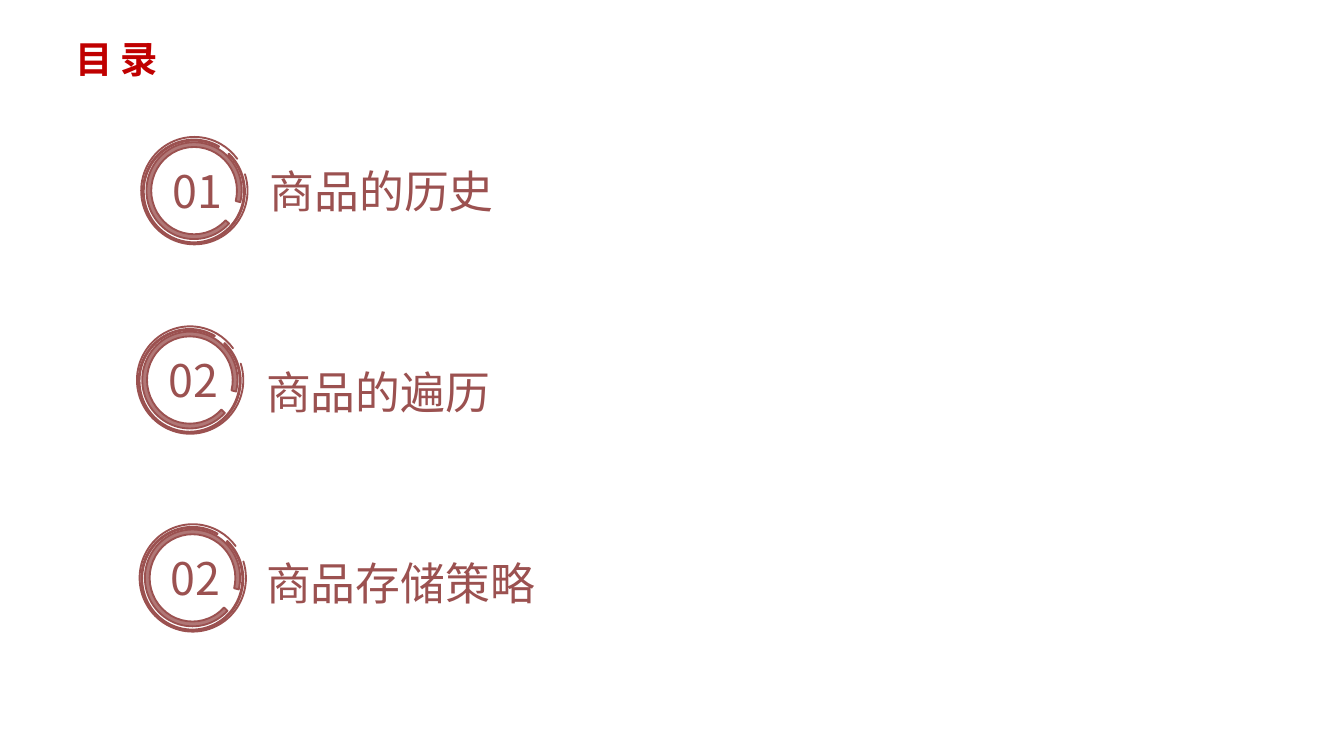
from lxml import etree
from pptx import Presentation
from pptx import util as u
from pptx.dml.color import RGBColor
from pptx.enum import shapes, text
from pptx.oxml.ns import qn

COLORS = {"title": "C00000", "main": "9B5150", "white": "FFFFFF"}
FONT = "Noto Sans CJK SC"

# offset, size, flip, adjustments, fill colour, opacity in percent
ARCS = [
    ((0.10, 0.10), (1.80, 1.83), None, (25.94, 8.38, 0.05), "main", 78),
    ((0.03, 0.05), (1.93, 1.96), "flipH", (144.49, 136.22, 0.01), "white", 45),
    ((0, 0), (2.01, 2.03), "flipV", (22.02, 10.77, 0), "white", 62),
]
# number, badge position, label, label box
ITEMS = [
    ("01", (2.67, 2.59), "商品的历史", (4.85, 2.77, 12.52, 1.65)),
    ("02", (2.59, 6.17), "商品的遍历", (4.78, 6.58, 14.4, 1.65)),
    ("02", (2.64, 9.91), "商品存储策略", (4.78, 10.19, 14.4, 1.65)),
]


class Deck:
    """Holds the style and the current slide, and draws each kind of element."""

    def __init__(self, slide):
        self.s = slide

    def color(self, name):
        return RGBColor.from_string(COLORS[name])

    def text(self, parent, box, content, size=24, color="main", bold=False):
        sp = parent.add_textbox(*map(u.Cm, box))
        tf = sp.text_frame
        tf.text = content
        tf.word_wrap = True
        tf.vertical_anchor = text.MSO_ANCHOR.MIDDLE
        r = tf.paragraphs[0].runs[0]
        r.font.size = u.Pt(size)
        r.font.bold = bold
        r.font.name = FONT
        r.font.color.rgb = self.color(color)
        ea = etree.SubElement(r.font._element, qn("a:ea"))
        ea.set("typeface", FONT)
        return tf

    def title(self, box, content):
        tf = self.text(self.s.shapes, box, content, 20, "title", True)
        tf.margin_left = tf.margin_right = u.Cm(0.23)
        tf.margin_top = tf.margin_bottom = u.Cm(0.1)
        tf.paragraphs[0].line_spacing = 0.9

    def arc(self, parent, box, flip, adjustments, fill, opacity):
        sp = parent.add_shape(shapes.MSO_SHAPE.BLOCK_ARC, *map(u.Cm, box))
        sp.shadow.inherit = False
        for i, value in enumerate(adjustments):
            sp.adjustments[i] = value
        if flip:
            sp._element.spPr.xfrm.set(flip, "1")
        sp.fill.solid()
        sp.fill.fore_color.rgb = self.color(fill)
        clr = sp._element.spPr.find(qn("a:solidFill"))[0]
        etree.SubElement(clr, qn("a:alpha")).set("val", str(opacity * 1000))
        sp.line.color.rgb = self.color("main")
        sp.line.width = u.Pt(1)

    def badge(self, x, y, number):
        group = self.s.shapes.add_group_shape().shapes
        for (dx, dy), size, *style in ARCS:
            self.arc(group, (x + dx, y + dy, *size), *style)
        tf = self.text(group, (x + 0.3, y + 0.38, 1.52, 1.27), number)
        tf.word_wrap = False
        tf.auto_size = text.MSO_AUTO_SIZE.SHAPE_TO_FIT_TEXT
        tf.vertical_anchor = text.MSO_ANCHOR.TOP
        tf.paragraphs[0].alignment = text.PP_ALIGN.CENTER


def main():
    prs = Presentation()
    prs.slide_width, prs.slide_height = u.Cm(25.4), u.Cm(14.29)
    deck = Deck(prs.slides.add_slide(prs.slide_layouts[6]))
    deck.title((1.19, 0.81, 21.89, 0.71), "目 录")
    for number, position, label, box in ITEMS:
        deck.badge(*position, number)
        deck.text(deck.s.shapes, box, label)
    prs.save("out.pptx")


if __name__ == "__main__":
    main()
